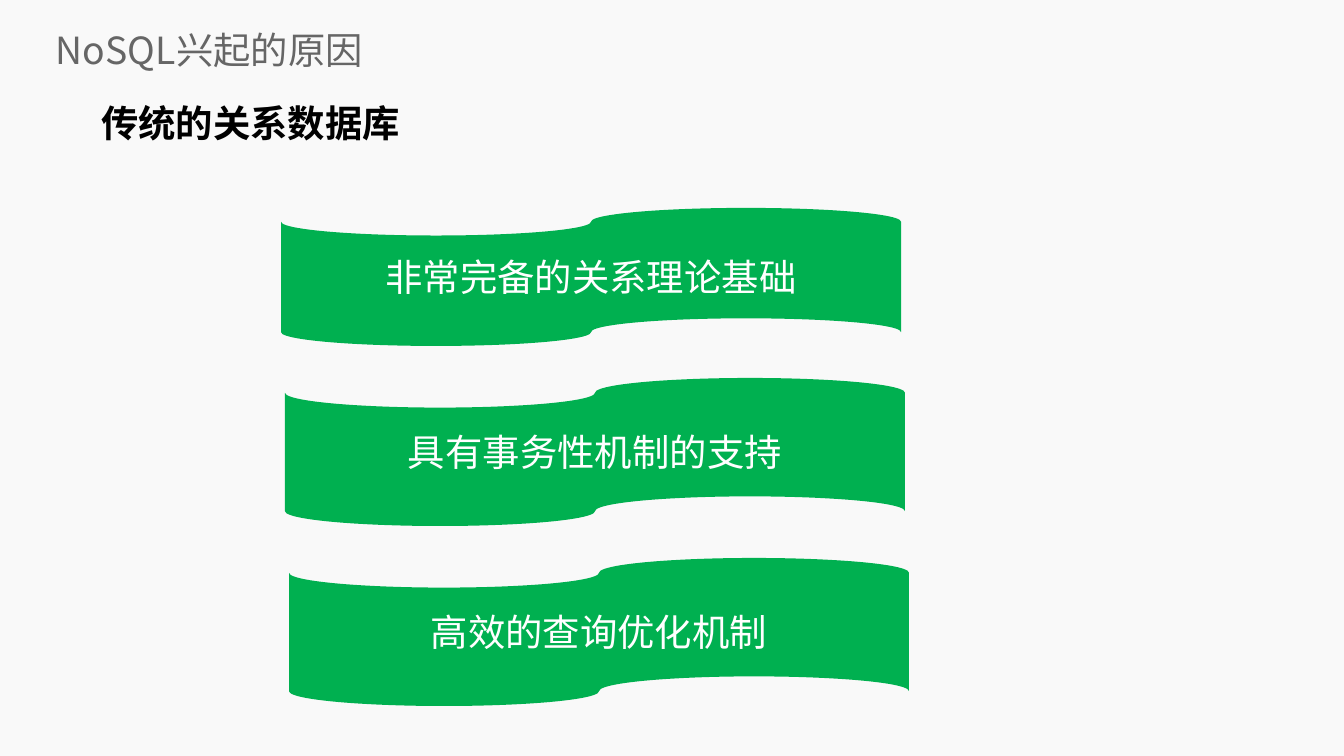
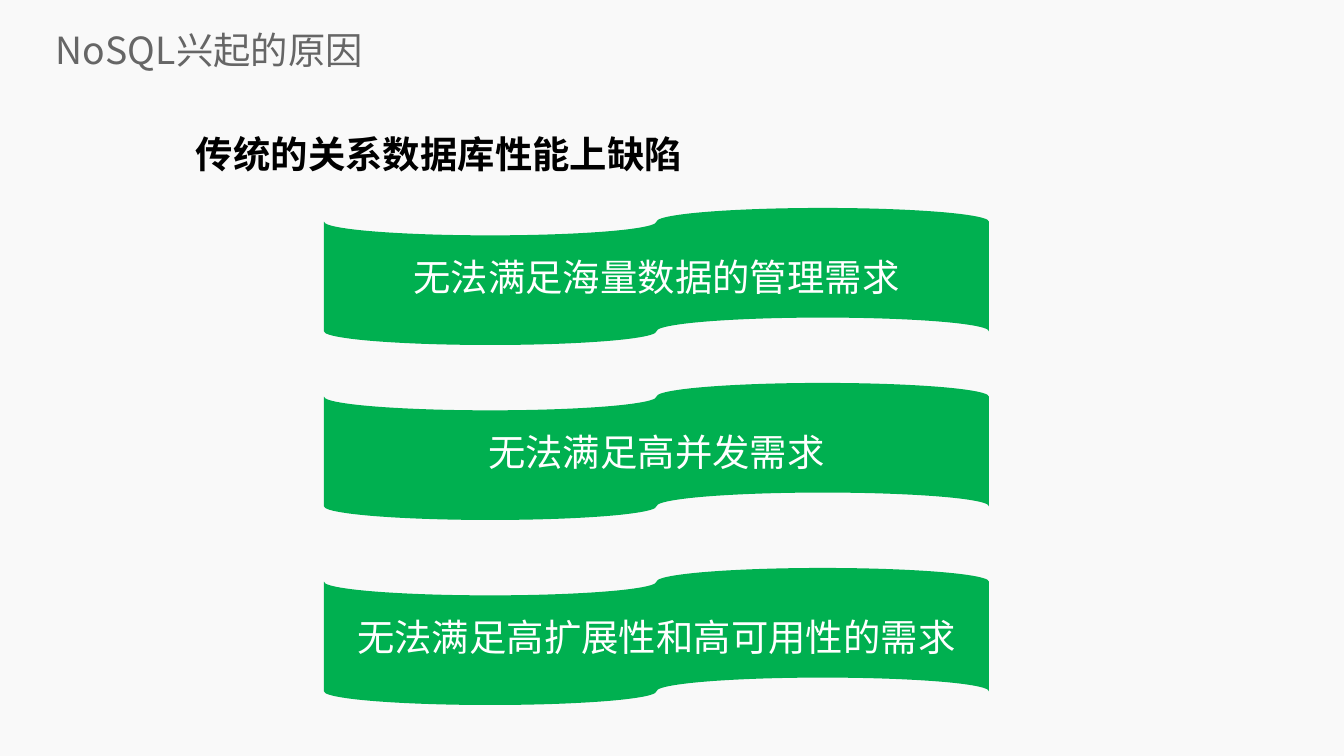
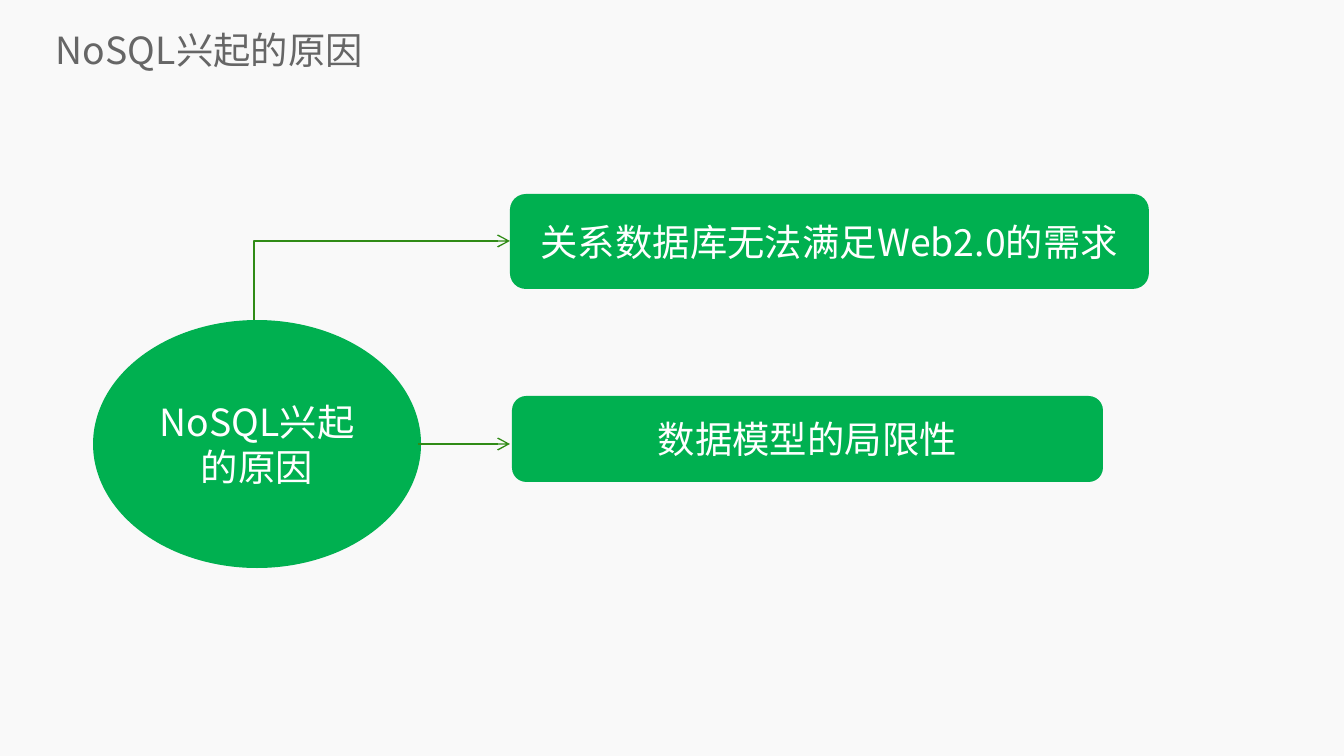
from lxml.etree import SubElement
from pptx import Presentation
from pptx.dml.color import RGBColor
from pptx.enum.shapes import MSO_CONNECTOR as LINE, MSO_SHAPE as SHAPE
from pptx.enum.text import MSO_ANCHOR as ANCHOR, MSO_AUTO_SIZE as AUTO, PP_ALIGN as ALIGN
from pptx.oxml.ns import qn
from pptx.util import Pt

EMU_PER_PX = 914400 / 134.4
FONT = "Noto Sans CJK SC"
TOPIC = "NoSQL兴起的原因"
COLORS = {
    "background": "F9F9F9",
    "title": "666666",
    "subtitle": "000000",
    "fill": "00B050",
    "label": "FFFFFF",
    "arrow": "308B16",
}


def px(*lengths):
    return [round(n * EMU_PER_PX) for n in lengths]


def color(name):
    return RGBColor.from_string(COLORS[name])


def write(sp, text, color_name, align, anchor, bold=False):
    tf = sp.text_frame
    tf.text = text
    tf.word_wrap = True
    tf.auto_size = AUTO.NONE
    tf.vertical_anchor = anchor
    p = tf.paragraphs[0]
    p.alignment = align
    p.space_before = Pt(0)
    p.font.size = Pt(20)
    p.font.bold = bold
    p.font.color.rgb = color(color_name)
    p.font.name = FONT
    # East Asian glyphs take their typeface from a:ea
    SubElement(p._p.pPr.find(qn("a:defRPr")), qn("a:ea"), typeface=FONT)
    return p


def fill_placeholder(sp, box, text, color_name, anchor, bold=False):
    sp.left, sp.top, sp.width, sp.height = px(*box)
    tf = sp.text_frame
    tf.margin_left = tf.margin_top = tf.margin_right = tf.margin_bottom = 0
    return write(sp, text, color_name, ALIGN.LEFT, anchor, bold)


def add_slide(prs, subtitle=None, subtitle_box=None):
    slide = prs.slides.add_slide(prs.slide_layouts[0])
    slide.background.fill.solid()
    slide.background.fill.fore_color.rgb = color("background")
    fill_placeholder(slide.shapes.title, (56, 24, 1267, 51), TOPIC, "title", ANCHOR.MIDDLE)
    body = slide.placeholders[1]
    if subtitle:
        p = fill_placeholder(body, subtitle_box, subtitle, "subtitle", ANCHOR.TOP, bold=True)
        p.line_spacing = 1.4
    else:
        body.element.getparent().remove(body.element)
    return slide


def add_label(slide, kind, box, text):
    sp = slide.shapes.add_shape(kind, *px(*box))
    sp.shadow.inherit = False
    sp.fill.solid()
    sp.fill.fore_color.rgb = color("fill")
    sp.line.fill.background()
    write(sp, text, "label", ALIGN.CENTER, ANCHOR.MIDDLE)


def add_arrow(slide, kind, start, end):
    c = slide.shapes.add_connector(kind, *px(*start, *end))
    c.line.color.rgb = color("arrow")
    c.line.width = Pt(0.75)
    SubElement(c.line._get_or_add_ln(), qn("a:tailEnd"), type="arrow")
    SubElement(c.element.spPr, qn("a:effectLst"))
    return c


def add_up_right_arrow(slide, start, end):
    """One-bend arrow that goes up from start, then right to end."""
    (x1, y1), (x2, y2) = start, end
    cx, cy = (x1 + x2) / 2, (y1 + y2) / 2
    dx, dy = (y1 - y2) / 2, (x2 - x1) / 2
    # The frame is drawn turned by a quarter, so its sides are swapped
    c = add_arrow(slide, LINE.ELBOW, (cx + dx, cy + dy), (cx - dx, cy - dy))
    c.element.spPr.find(qn("a:xfrm")).set("rot", "5400000")
    c.element.spPr.find(qn("a:prstGeom")).set("prst", "bentConnector2")


def build_strengths(prs):
    slide = add_slide(prs, "传统的关系数据库", (101, 82, 1007, 74))
    tapes = [
        (208, 138, "非常完备的关系理论基础"),
        (378, 148, "具有事务性机制的支持"),
        (558, 148, "高效的查询优化机制"),
    ]
    for i, (top, height, text) in enumerate(tapes):
        add_label(slide, SHAPE.FLOWCHART_PUNCHED_TAPE, (281 + 4 * i, top, 620, height), text)


def build_weaknesses(prs):
    slide = add_slide(prs, "传统的关系数据库性能上缺陷", (196, 113, 1007, 507))
    tapes = [
        (208, "无法满足海量数据的管理需求"),
        (383, "无法满足高并发需求"),
        (568, "无法满足高扩展性和高可用性的需求"),
    ]
    for top, text in tapes:
        add_label(slide, SHAPE.FLOWCHART_PUNCHED_TAPE, (324, top, 665, 137), text)


def build_reasons(prs):
    slide = add_slide(prs)
    add_label(slide, SHAPE.OVAL, (93, 320, 328, 248), TOPIC)
    add_label(slide, SHAPE.ROUNDED_RECTANGLE, (510, 194, 639, 95), "关系数据库无法满足Web2.0的需求")
    add_label(slide, SHAPE.ROUNDED_RECTANGLE, (512, 396, 591, 86), "数据模型的局限性")
    add_up_right_arrow(slide, (254, 320), (510, 241))
    add_arrow(slide, LINE.STRAIGHT, (418, 444), (510, 444))


def main():
    prs = Presentation()
    prs.slide_width, prs.slide_height = px(1344, 756)
    build_strengths(prs)
    build_weaknesses(prs)
    build_reasons(prs)
    prs.save("out.pptx")


if __name__ == "__main__":
    main()
